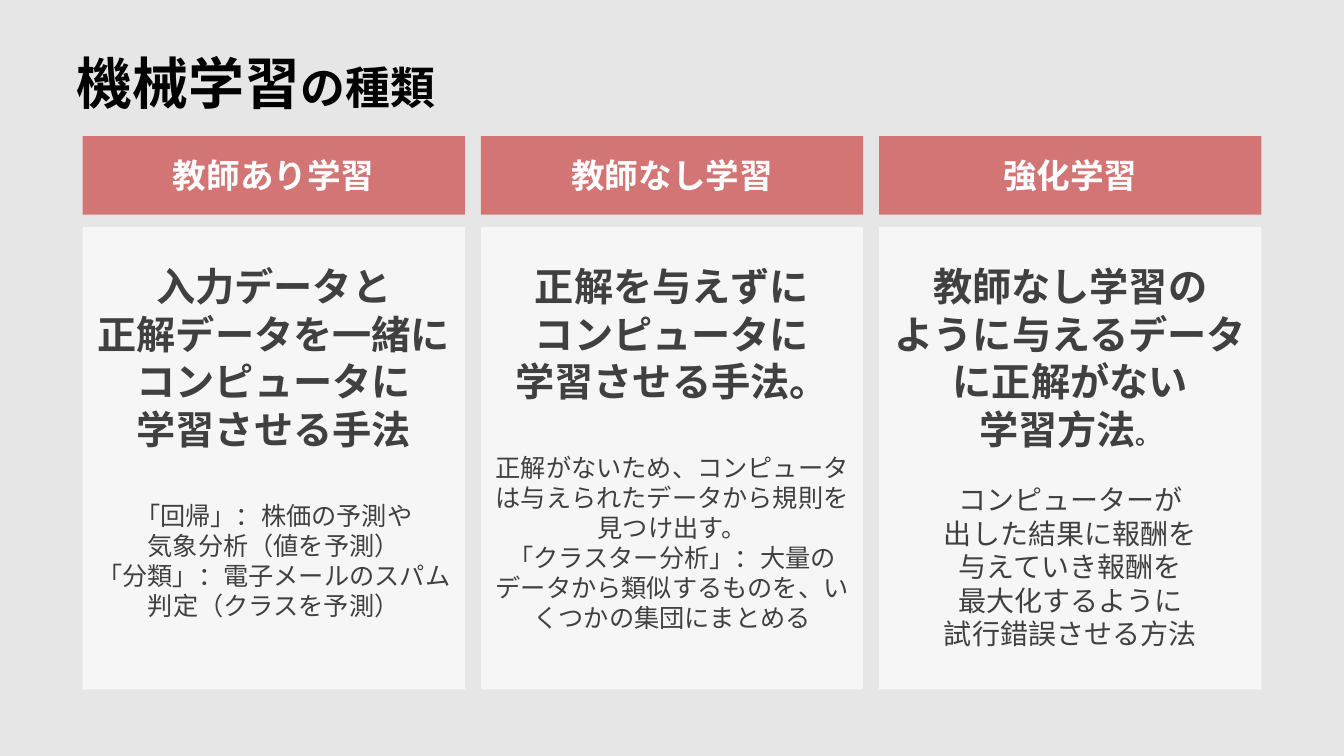
from dataclasses import dataclass

from lxml.etree import SubElement
from pptx import Presentation
from pptx.dml.color import RGBColor as RGB
from pptx.enum.shapes import MSO_SHAPE as SHAPE
from pptx.enum.text import MSO_ANCHOR as ANCHOR, MSO_AUTO_SIZE as AUTO, PP_ALIGN as ALIGN
from pptx.oxml.ns import qn
from pptx.util import Inches, Pt


@dataclass(frozen=True)
class Theme:
    """Colours, fonts, type sizes and column grid of the deck."""
    ground: str = "E7E6E6"
    ink: str = "000000"
    body: str = "404040"
    panel: str = "FFFFFF"
    accent: str = "C00000"
    latin: str = "Arial"
    cjk: str = "Noto Sans CJK JP"
    title: int = 40
    subtitle: int = 32
    lead: int = 28
    heading: int = 24
    detail: int = 20
    small: int = 18
    left: float = 0.82
    width: float = 3.79
    gutter: float = 0.16


T = Theme()
LEADING = {T.lead: 34, T.detail: 24, T.small: 21.5}
COLUMNS = [
    ("教師あり学習", [
        (0, [("入力データと\n正解データを一緒にコンピュータに\n学習させる手法", T.lead, True)]),
        (34, [("「回帰」：株価の予測や\n気象分析（値を予測）", T.small, False)]),
        (0, [("「分類」：電子メールのスパム判定（クラスを予測）", T.small, False)]),
    ]),
    ("教師なし学習", [
        (0, [("正解を与えずに\nコンピュータに\n学習させる手法。", T.lead, True)]),
        (34, [("正解がないため、コンピュータは与えられたデータから規則を見つけ出す。", T.small, False)]),
        (0, [("「クラスター分析」：大量のデータから類似するものを、いくつかの集団にまとめる", T.small, False)]),
    ]),
    ("強化学習", [
        (0, [("教師なし学習の\nように与えるデータに正解がない\n学習方法", T.lead, True), ("。", T.small, True)]),
        (21.5, [("コンピューターが\n出した結果に報酬を\n与えていき報酬を\n最大化するように\n試行錯誤させる方法", T.detail, False)]),
    ]),
]


def write(p, text, *, size, color, bold=True, font=T.cjk):
    """Add text to a paragraph, turning newlines into line breaks."""
    for i, line in enumerate(text.split("\n")):
        if i:
            p.add_line_break()
        r = p.add_run()
        r.text = line
        r.font.size, r.font.bold, r.font.name = Pt(size), bold, font
        r.font.color.rgb = RGB.from_string(color)
        SubElement(r.font._element, qn("a:ea"), typeface=T.cjk)


class Deck:
    """Holds the theme and the current slide, and draws its elements."""

    def __init__(self, theme):
        """Start a widescreen presentation with one slide."""
        self.theme = theme
        self.prs = Presentation()
        self.prs.slide_width, self.prs.slide_height = Inches(13.33), Inches(7.5)
        self.slide = self.prs.slides.add_slide(self.prs.slide_layouts[5])
        fill = self.slide.background.fill
        fill.solid()
        fill.fore_color.rgb = RGB.from_string(theme.ground)

    def title(self, *parts):
        """Fill the title placeholder with parts of text and size."""
        sp = self.slide.shapes.title
        sp.left, sp.top, sp.width, sp.height = map(Inches, (0.66, 0.43, 3.79, 0.77))
        tf = sp.text_frame
        tf.auto_size, tf.word_wrap, tf.vertical_anchor = AUTO.NONE, False, ANCHOR.MIDDLE
        p = tf.paragraphs[0]
        p.alignment = ALIGN.LEFT
        for text, size in parts:
            write(p, text, size=size, color=self.theme.ink, font=self.theme.latin)

    def panel(self, col, top, height, color, opacity):
        """Draw a translucent panel in a grid column and return its text frame."""
        t = self.theme
        left = t.left + col * (t.width + t.gutter)
        sp = self.slide.shapes.add_shape(
            SHAPE.ROUNDED_RECTANGLE, *map(Inches, (left, top, t.width, height)))
        sp.adjustments[0] = 0
        sp.shadow.inherit = False
        sp.line.fill.background()
        sp.fill.solid()
        sp.fill.fore_color.rgb = RGB.from_string(color)
        clr = sp._element.spPr.find(qn("a:solidFill"))[0]
        SubElement(clr, qn("a:alpha"), val=str(opacity * 1000))
        tf = sp.text_frame
        tf.word_wrap = True
        return tf

    def header(self, col, text):
        """Draw the heading band of a column."""
        tf = self.panel(col, 1.35, 0.78, self.theme.accent, 49)
        tf.vertical_anchor = ANCHOR.MIDDLE
        p = tf.paragraphs[0]
        p.alignment = ALIGN.CENTER
        write(p, text, size=self.theme.heading, color=self.theme.panel)

    def card(self, col, paragraphs):
        """Draw the explanation card of a column."""
        tf = self.panel(col, 2.25, 4.59, self.theme.panel, 68)
        tf.vertical_anchor, tf.margin_top = ANCHOR.TOP, Inches(0.35)
        for i, (gap, parts) in enumerate(paragraphs):
            p = tf.add_paragraph() if i else tf.paragraphs[0]
            p.alignment = ALIGN.CENTER
            p.space_before = Pt(gap)
            p.line_spacing = Pt(LEADING[parts[0][1]])
            for text, size, bold in parts:
                write(p, text, size=size, color=self.theme.body, bold=bold)


def main():
    """Build and save the slide."""
    deck = Deck(T)
    deck.title(("機械学習", T.title), ("の種類", T.subtitle))
    for col, (heading, paragraphs) in enumerate(COLUMNS):
        deck.card(col, paragraphs)
        deck.header(col, heading)
    deck.prs.save("out.pptx")


if __name__ == "__main__":
    main()
